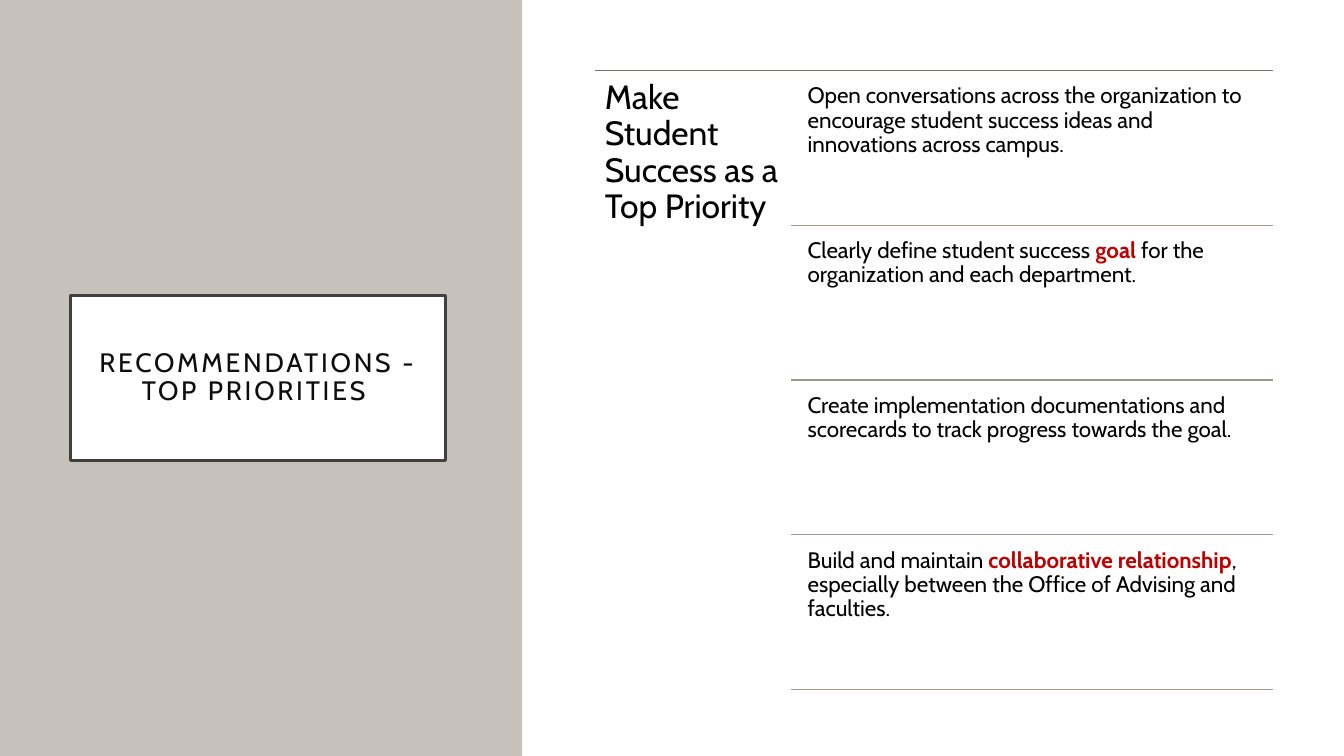
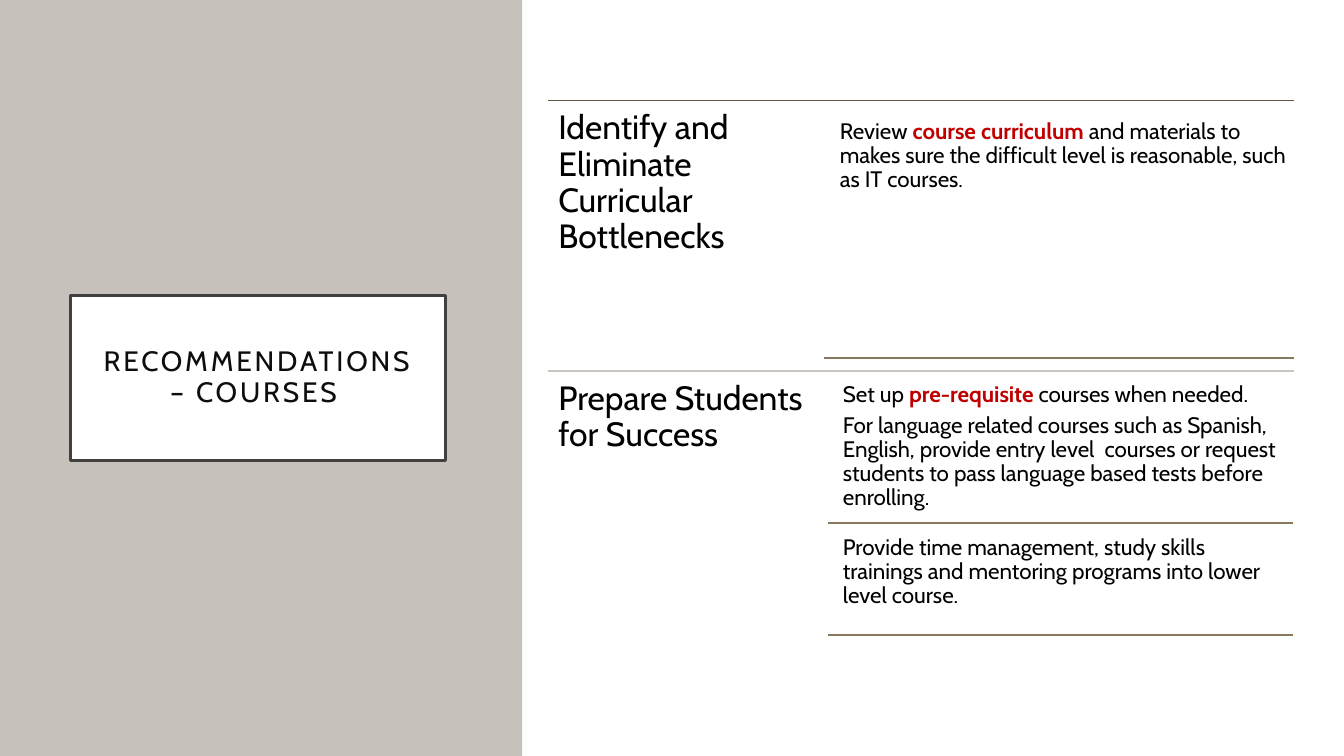
import dataclasses
import typing

import lxml.etree
import pptx
import pptx.dml.color
import pptx.enum.shapes
import pptx.enum.text
import pptx.oxml.ns
import pptx.util

Inches = pptx.util.Inches
Pt = pptx.util.Pt

FONT = "Cabin"
BAND = "C6C1BA"
WHITE = "FFFFFF"
FRAME = "404040"
TITLE = "0D0D0D"
BLACK = "000000"
RED = "C00000"


class Run(typing.NamedTuple):
    text: str
    strong: bool = False


Line = tuple[Run, ...]


@dataclasses.dataclass(frozen=True)
class Rule:
    left: float
    right: float
    top: float
    color: str


@dataclasses.dataclass(frozen=True)
class Block:
    left: float
    top: float
    width: float
    height: float
    lines: tuple[Line, ...]
    size: int = 16
    inset: float = 0.07


@dataclasses.dataclass(frozen=True)
class Page:
    title: str
    size: int
    rules: list[Rule]
    blocks: list[Block]


def tint(code: str) -> pptx.dml.color.RGBColor:
    return pptx.dml.color.RGBColor.from_string(code)


def head(left: float, top: float, width: float, height: float, text: str) -> Block:
    return Block(left, top, width, height, ((Run(text),),), 24, 0.1)


def pad(frame, inset: float) -> None:
    frame.word_wrap = True
    frame.margin_left = frame.margin_right = Inches(inset)
    frame.margin_top = frame.margin_bottom = Inches(inset)


def add_run(para, text: str, size: int, color: str, bold: bool = False):
    run = para.add_run()
    run.text = text
    run.font.name = FONT
    run.font.size = Pt(size)
    run.font.bold = bold
    run.font.color.rgb = tint(color)
    return run


def add_box(slide, left: float, top: float, width: float, height: float, fill: str):
    box = slide.shapes.add_shape(
        pptx.enum.shapes.MSO_SHAPE.RECTANGLE,
        Inches(left), Inches(top), Inches(width), Inches(height))
    box.shadow.inherit = False
    box.fill.solid()
    box.fill.fore_color.rgb = tint(fill)
    box.line.fill.background()
    return box


def add_title(slide, text: str, size: int) -> None:
    box = add_box(slide, 0.7, 2.93, 3.72, 1.64, WHITE)
    box.line.color.rgb = tint(FRAME)
    box.line.width = Pt(2.5)
    frame = box.text_frame
    pad(frame, 0.2)
    frame.vertical_anchor = pptx.enum.text.MSO_ANCHOR.MIDDLE
    para = frame.paragraphs[0]
    para.alignment = pptx.enum.text.PP_ALIGN.CENTER
    para.line_spacing = 0.9
    run = add_run(para, text, size, TITLE)
    run.font._element.set("spc", "200")


def add_rule(slide, rule: Rule) -> None:
    line = slide.shapes.add_connector(
        pptx.enum.shapes.MSO_CONNECTOR.STRAIGHT,
        Inches(rule.left), Inches(rule.top), Inches(rule.right), Inches(rule.top))
    line.line.color.rgb = tint(rule.color)
    line.line.width = Pt(1)
    lxml.etree.SubElement(line._element.spPr, pptx.oxml.ns.qn("a:effectLst"))


def add_block(slide, block: Block) -> None:
    box = slide.shapes.add_textbox(
        Inches(block.left), Inches(block.top),
        Inches(block.width), Inches(block.height))
    frame = box.text_frame
    pad(frame, block.inset)
    for spot, line in enumerate(block.lines):
        para = frame.add_paragraph() if spot else frame.paragraphs[0]
        para.line_spacing = 0.9
        para.space_after = Pt(5)
        for part in line:
            color = RED if part.strong else BLACK
            add_run(para, part.text, block.size, color, part.strong)


def add_page(deck, page: Page) -> None:
    slide = deck.slides.add_slide(deck.slide_layouts[6])
    add_box(slide, 0, 0, 5.18, 7.5, BAND)
    add_title(slide, page.title, page.size)
    for rule in page.rules:
        add_rule(slide, rule)
    for block in page.blocks:
        add_block(slide, block)


def top_page() -> Page:
    top, end, right = 0.7, 6.84, 12.63
    goals: list[Line] = [
        (Run("Open conversations across the organization to encourage "
             "student success ideas and innovations across campus."),),
        (Run("Clearly define student success "), Run("goal", True),
         Run(" for the organization and each department.")),
        (Run("Create implementation documentations and scorecards to "
             "track progress towards the goal."),),
        (Run("Build and maintain "), Run("collaborative relationship", True),
         Run(", especially between the Office of Advising and faculties.")),
    ]
    step = (end - top) / len(goals)
    rules = [Rule(5.9, right, top, "767068")]
    blocks = [head(5.9, top, 1.95, 6.22, "Make Student Success as a Top Priority")]
    for row, goal in enumerate(goals):
        blocks.append(Block(7.94, top + 0.07 + row * step, 4.69, 1.46, (goal,)))
        rules.append(Rule(7.85, right, top + (row + 1) * step, "A0988C"))
    return Page("RECOMMENDATIONS - TOP PRIORITIES ", 19, rules, blocks)


def course_page() -> Page:
    left, right, brown = 5.44, 12.83, "87795D"
    rules = [
        Rule(left, right, 1, "645A45"),
        Rule(8.17, right, 3.55, brown),
        Rule(left, right, 3.68, "CBC7C0"),
        Rule(8.21, 12.82, 5.19, brown),
        Rule(8.21, 12.82, 6.3, brown),
    ]
    blocks = [
        head(left, 1, 2.73, 2.68, "Identify and Eliminate Curricular Bottlenecks"),
        Block(8.26, 1.12, 4.57, 2.44, (
            (Run("Review "), Run("course curriculum", True),
             Run(" and materials to makes sure the difficult level is "
                 "reasonable, such as IT courses.")),)),
        head(left, 3.68, 2.76, 2.68, "Prepare Students for Success"),
        Block(8.29, 3.73, 4.53, 1.46, (
            (Run("Set up "), Run("pre-requisite", True),
             Run(" courses when needed.")),
            (Run("For language related courses such as Spanish, English, "
                 "provide entry level  courses or request students to pass "
                 "language based tests before enrolling."),))),
        Block(8.29, 5.25, 4.53, 1.06, (
            (Run("Provide time management, study skills trainings and "
                 "mentoring programs into lower level course."),),)),
    ]
    return Page("RECOMMENDATIONS – COURSES ", 20, rules, blocks)


def main() -> None:
    deck = pptx.Presentation()
    deck.slide_width = Inches(13.33)
    deck.slide_height = Inches(7.5)
    for page in (top_page(), course_page()):
        add_page(deck, page)
    deck.save("out.pptx")


if __name__ == "__main__":
    main()
